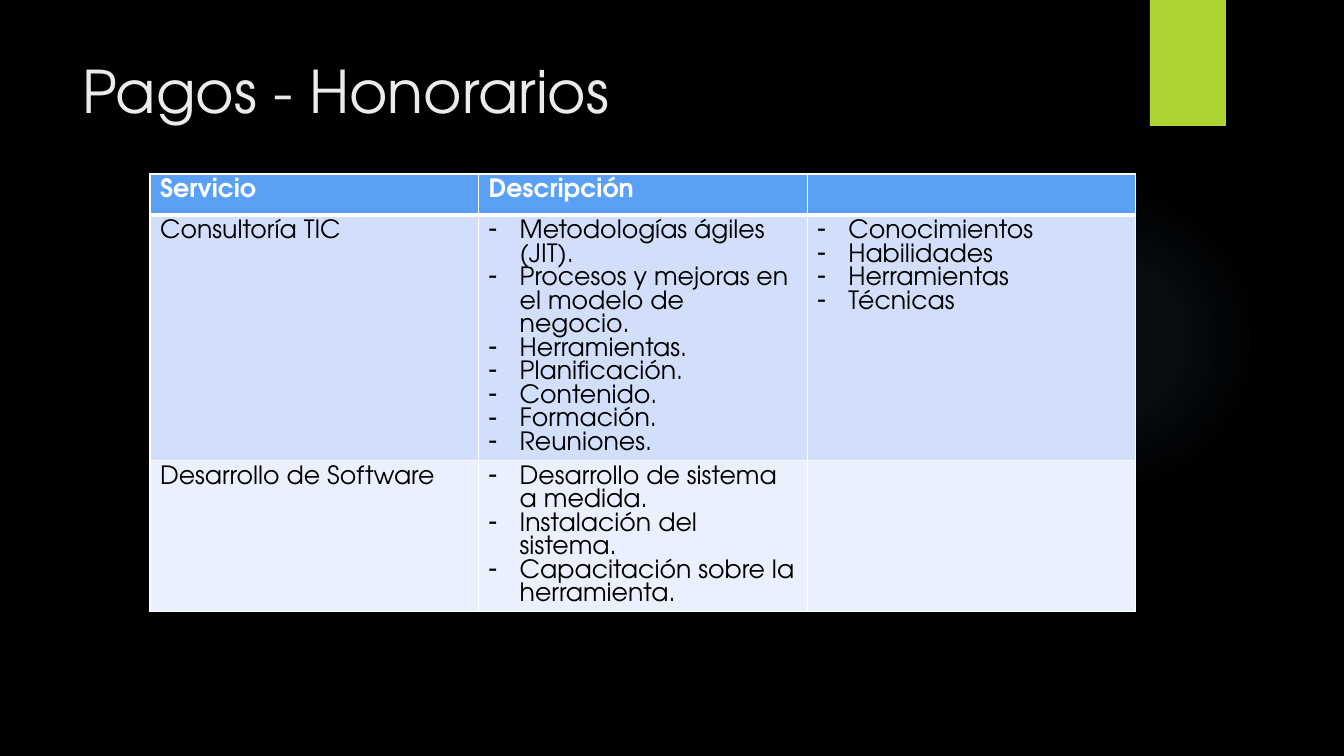
from lxml import etree
from pptx import Presentation
from pptx import util as u
from pptx.dml.color import RGBColor
from pptx.enum import shapes, text
from pptx.oxml import parse_xml
from pptx.oxml.ns import nsdecls, qn

TITLE = "Pagos - Honorarios"
HEADER = ("Servicio", "Descripción", "")
# Strings are plain cells; lists are dashed cells.
SERVICES = [
    ("Consultoría TIC",
     ["Metodologías ágiles (JIT).", "Procesos y mejoras en el modelo de negocio.",
      "Herramientas.", "Planificación.", "Contenido.", "Formación.", "Reuniones."],
     ["Conocimientos", "Habilidades", "Herramientas", "Técnicas"]),
    ("Desarrollo de Software",
     ["Desarrollo de sistema a medida.", "Instalación del sistema.",
      "Capacitación sobre la herramienta."],
     ""),
]

FONT = "TeX Gyre Adventor"
BLACK = RGBColor(0x00, 0x00, 0x00)
WHITE = RGBColor(0xFF, 0xFF, 0xFF)
TITLE_GREY = RGBColor(0xEB, 0xEB, 0xEB)
GREEN = RGBColor(0xAC, 0xD4, 0x33)
GLOW_BLUE = RGBColor(0x7A, 0xC4, 0xF0)
HEADER_BLUE = RGBColor(0x5A, 0xA0, 0xF5)
ROW_FILLS = (RGBColor(0xD2, 0xDF, 0xFB), RGBColor(0xEA, 0xF0, 0xFD))

SCALE = 9071.43  # EMU per pixel
GLOW_BOX = (949, 184, 310, 310)
TAB_BOX = (1150, 0, 76, 126)
TITLE_BOX = (72, 50, 1037, 154)
TABLE_LEFT, TABLE_TOP, TABLE_WIDTH = 150, 174, 986
ROW_HEIGHTS = (41, 245, 151)
DASH_INDENT = 31
GLOW_STOPS = ((0, 7), (36, 6), (69, 0))  # position and opacity, percent


def px(length):
    """Turn pixels into EMU."""
    return u.Emu(round(length * SCALE))


def box(sides):
    """Turn a pixel box into EMU."""
    return [px(side) for side in sides]


def add_plain_shape(slide, kind, sides):
    """Add a preset shape without line or shadow."""
    shape = slide.shapes.add_shape(kind, *box(sides))
    shape.shadow.inherit = False
    shape.line.fill.background()
    return shape


def add_glow(slide):
    """Add the faint radial glow."""
    shape = add_plain_shape(slide, shapes.MSO_SHAPE.OVAL, GLOW_BOX)
    stops = "".join(
        f'<a:gs pos="{position * 1000}"><a:srgbClr val="{GLOW_BLUE}">'
        f'<a:alpha val="{opacity * 1000}"/></a:srgbClr></a:gs>'
        for position, opacity in GLOW_STOPS)
    gradient = parse_xml(
        f'<a:gradFill {nsdecls("a")}><a:gsLst>{stops}</a:gsLst><a:path path="circle">'
        '<a:fillToRect l="50000" t="50000" r="50000" b="50000"/></a:path></a:gradFill>')
    shape.element.spPr.find(qn("a:prstGeom")).addnext(gradient)


def add_run(paragraph, words, size, color, bold=False):
    """Add one formatted run."""
    run = paragraph.add_run()
    run.text = words
    run.font.name, run.font.size, run.font.bold = FONT, u.Pt(size), bold
    run.font.color.rgb = color


def add_dash(paragraph):
    """Give a paragraph a hanging dash."""
    properties = paragraph._p.get_or_add_pPr()
    properties.set("marL", str(px(DASH_INDENT)))
    properties.set("indent", str(-px(DASH_INDENT)))
    etree.SubElement(properties, qn("a:buChar")).set("char", "-")


def set_borders(cell, widths):
    """Draw white borders, with widths in points by side."""
    properties = cell._tc.get_or_add_tcPr()
    for side, width in widths.items():
        properties.append(parse_xml(
            f'<a:ln{side} {nsdecls("a")} w="{u.Pt(width)}"><a:solidFill>'
            f'<a:srgbClr val="{WHITE}"/></a:solidFill></a:ln{side}>'))


def fill_cell(cell, content, row_index):
    """Write and format one table cell."""
    is_header = row_index == 0
    set_borders(cell, {"L": 1, "R": 1, "T": 3 if row_index == 1 else 1,
                       "B": 3 if is_header else 1})
    cell.fill.solid()
    cell.fill.fore_color.rgb = HEADER_BLUE if is_header else ROW_FILLS[row_index - 1]
    dashed = isinstance(content, list)
    for index, words in enumerate(content if dashed else [content]):
        frame = cell.text_frame
        paragraph = frame.add_paragraph() if index else frame.paragraphs[0]
        paragraph.line_spacing = u.Pt(16.8)
        if dashed:
            add_dash(paragraph)
        if words:
            add_run(paragraph, words, 18, WHITE if is_header else BLACK, is_header)


def add_services(slide):
    """Add the table of services."""
    rows = [HEADER, *SERVICES]
    sides = (TABLE_LEFT, TABLE_TOP, TABLE_WIDTH, sum(ROW_HEIGHTS))
    table = slide.shapes.add_table(len(rows), len(HEADER), *box(sides)).table
    for column in table.columns:
        column.width = px(TABLE_WIDTH / len(HEADER))
    for row_index, (contents, height) in enumerate(zip(rows, ROW_HEIGHTS)):
        table.rows[row_index].height = px(height)
        for column_index, content in enumerate(contents):
            fill_cell(table.cell(row_index, column_index), content, row_index)


def add_title(slide):
    """Place and format the title."""
    title = slide.shapes.title
    title.left, title.top, title.width, title.height = box(TITLE_BOX)
    frame = title.text_frame
    frame.vertical_anchor = text.MSO_ANCHOR.TOP
    frame.auto_size = text.MSO_AUTO_SIZE.NONE
    paragraph = frame.paragraphs[0]
    paragraph.alignment = text.PP_ALIGN.LEFT
    add_run(paragraph, TITLE, 42, TITLE_GREY)


presentation = Presentation()
presentation.slide_width, presentation.slide_height = px(1344), px(756)
slide = presentation.slides.add_slide(presentation.slide_layouts[5])
slide.background.fill.solid()
slide.background.fill.fore_color.rgb = BLACK
add_glow(slide)
tab = add_plain_shape(slide, shapes.MSO_SHAPE.RECTANGLE, TAB_BOX)
tab.fill.solid()
tab.fill.fore_color.rgb = GREEN
add_title(slide)
add_services(slide)
presentation.save("out.pptx")
